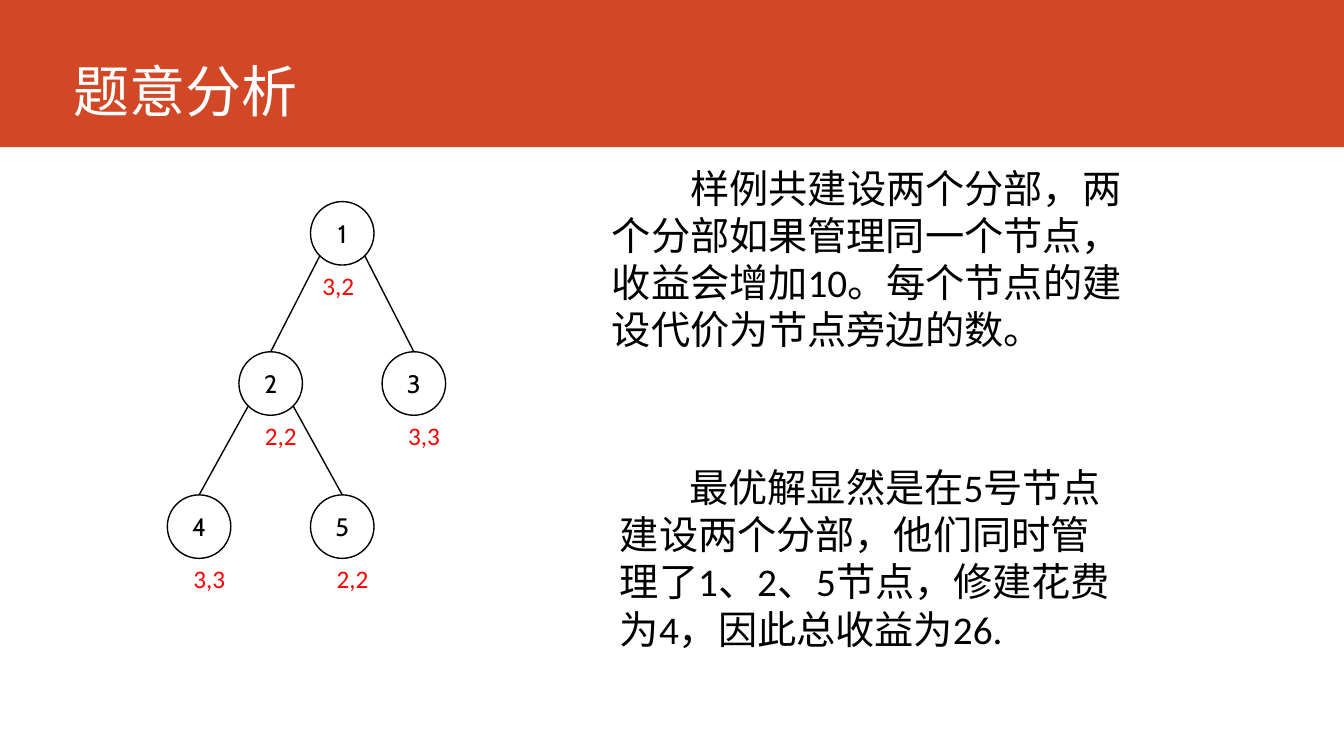
from pptx import Presentation
from pptx import util as u
from pptx.dml.color import RGBColor
from pptx.enum import shapes, text
from pptx.oxml.ns import qn
from lxml import etree

deck = Presentation()
deck.slide_width, deck.slide_height = u.Inches(13.33), u.Inches(7.5)
slide = deck.slides.add_slide(deck.slide_layouts[6])
parts = slide.shapes


def tint(code):
    return RGBColor.from_string(code)


def write(frame, words, size, face, code):
    para = frame.paragraphs[0]
    run = para.add_run()
    run.text = words
    run.font.size = u.Pt(size)
    run.font.name = face
    run.font.color.rgb = tint(code)
    return para


band = parts.add_shape(shapes.MSO_SHAPE.RECTANGLE, 0, 0, deck.slide_width, u.Inches(1.46))
band.shadow.inherit = False
band.fill.solid()
band.fill.fore_color.rgb = tint("D24726")
band.line.fill.background()

left, step, size = 1.66, 0.71, 0.63
rows = [2, 3.49, 4.91]
tree = {
    "1": (2, 0, "3,2", 0.02),
    "2": (1, 1, "2,2", 0.16),
    "5": (2, 2, "2,2", 0.16),
    "4": (0, 2, "3,3", 0.16),
    "3": (3, 1, "3,3", 0.16),
}
nodes, spots = {}, {}
for name, (col, row, cost, shift) in tree.items():
    x, y = left + col * step, rows[row]
    node = parts.add_shape(shapes.MSO_SHAPE.OVAL, u.Inches(x), u.Inches(y),
                           u.Inches(size), u.Inches(size))
    node.shadow.inherit = False
    node.fill.solid()
    node.fill.fore_color.rgb = tint("FFFFFF")
    node.line.color.rgb = tint("000000")
    node.line.width = u.Pt(1)
    node.text_frame.vertical_anchor = text.MSO_ANCHOR.MIDDLE
    para = write(node.text_frame, name, 18, "Cabin", "000000")
    para.alignment = text.PP_ALIGN.CENTER
    nodes[name], spots[name] = node, (x, y)

half = size / 2
reach = half * 0.5 ** 0.5
for top, kid in [("1", "3"), ("1", "2"), ("2", "4"), ("2", "5")]:
    x, y = spots[top]
    end, low = spots[kid]
    side = 1 if end > x else -1
    edge = parts.add_connector(shapes.MSO_CONNECTOR.STRAIGHT,
                               u.Inches(x + half + side * reach), u.Inches(y + half + reach),
                               u.Inches(end + half), u.Inches(low))
    edge.end_connect(nodes[kid], 0)
    edge.line.color.rgb = tint("000000")
    edge.line.width = u.Pt(1)
    etree.SubElement(edge._element.spPr, qn("a:effectLst"))

notes = [
    (5.97, 1.58, 5.31, 1.99, 28, "000000", 0.78,
     "样例共建设两个分部，两个分部如果管理同一个节点，收益会增加10。每个节点的建设代价为节点旁边的数。"),
    (0.63, 0.51, 2.45, 0.77, 40, "FFFFFF", 0, "题意分析"),
    (6.05, 4.55, 5.16, 1.99, 28, "000000", 0.69,
     "最优解显然是在5号节点建设两个分部，他们同时管理了1、2、5节点，修建花费为4，因此总收益为26."),
]
for name, (col, row, cost, shift) in tree.items():
    x, y = spots[name]
    notes.append((x + shift, y + size, 0.8, 0.4, 18, "FF0000", 0, cost))

for x, y, wide, high, points, code, inset, words in notes:
    box = parts.add_textbox(u.Inches(x), u.Inches(y), u.Inches(wide), u.Inches(high))
    box.text_frame.word_wrap = True
    para = write(box.text_frame, words, points, "Calibri", code)
    if inset:
        props = para._p.get_or_add_pPr()
        props.set("marL", "0")
        props.set("indent", str(u.Inches(inset)))

deck.save("out.pptx")
